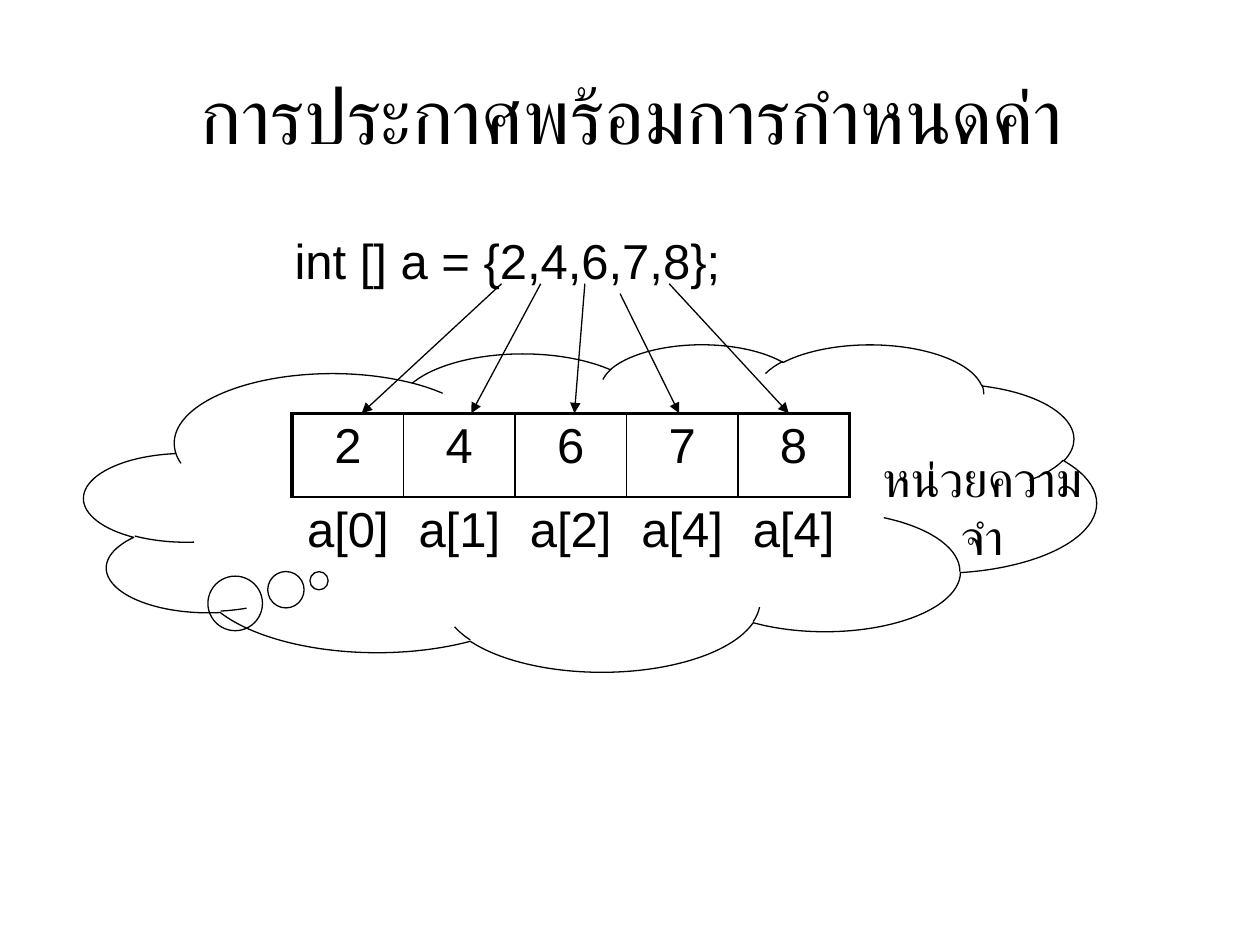
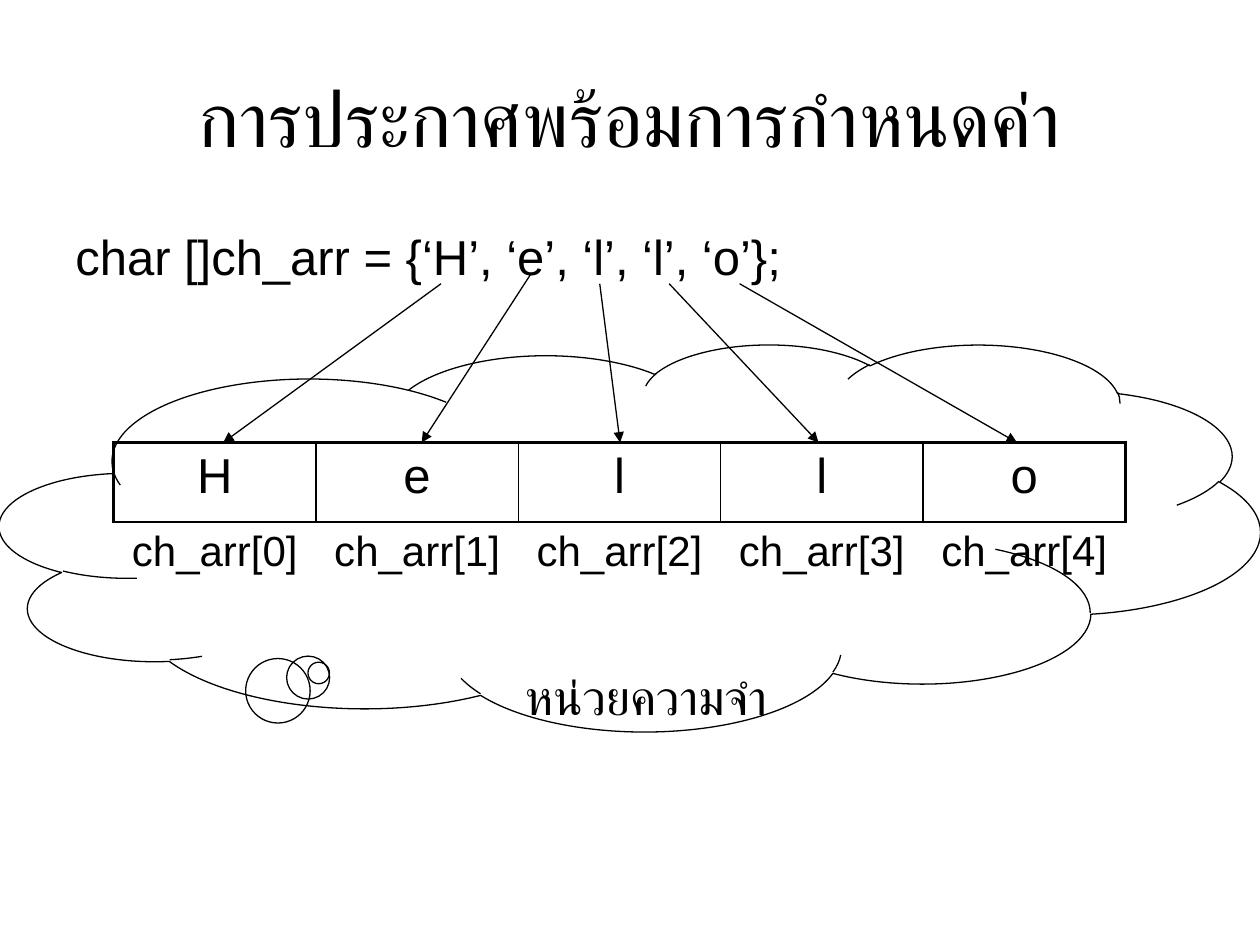
"""Build two slides that show how array initialisers fill memory cells."""
from lxml import etree
from pptx import Presentation
from pptx import util as u
from pptx.dml.color import RGBColor
from pptx.enum import shapes, text
from pptx.oxml import ns

BLACK = RGBColor(0, 0, 0)
FONT = "Arial"
TITLE = "การประกาศพร้อมการกำหนดค่า"
MEMORY_LABEL = "หน่วยความจำ"
THIN, THICK = u.Pt(1), u.Pt(2.25)
OUTLINE = u.Pt(0.75)
PLAIN_TABLE_STYLE = "{2D5ABB26-0587-4C30-8999-92F81FD0307C}"

ARRAYS = [
    {
        "title": (1.3, 0.71, 22.86, 3.18),
        "code": "int [] a = {2,4,6,7,8};",
        "code_box": (5.69, 4.52, 11.23, 1.88),
        "values": ["2", "4", "6", "7", "8"],
        "names": ["a[0]", "a[1]", "a[2]", "a[4]", "a[4]"],
        "name_size": 28,
        "table": (5.89, 8.33, 11.23, 3.38),
        "row_heights": (1.69, 1.69),
        "arrow_starts": [(10.11, 5.72), (10.9, 5.72), (11.79, 5.72), (12.5, 5.92), (13.49, 5.72)],
        "arrow_ends": [7.29, 9.5, 11.58, 13.69, 15.9],
        "cloud": (1.7, 6.93, 20.4, 6.6),
        "cloud_tail": (-0.268, 0.224),
        "label": (17.3, 9.32, 5, 1.8),
    },
    {
        "title": (1.27, 0.76, 22.86, 3.18),
        "code": "char []ch_arr = {‘H’, ‘e’, ‘l’, ‘l’, ‘o’};",
        "code_box": (1.27, 4.45, 21.84, 2.49),
        "values": list("Hello"),
        "names": [f"ch_arr[{index}]" for index in range(5)],
        "name_size": 24,
        "table": (2.29, 8.92, 20.4, 3.4),
        "row_heights": (1.6, 1.8),
        "arrow_starts": [(8.89, 5.72), (10.69, 5.54), (12.09, 5.72), (13.49, 5.72), (14.91, 5.72)],
        "arrow_ends": [4.5 + 4 * index for index in range(5)],
        "cloud": (0, 6.93, 25.4, 7.8),
        "cloud_tail": (-0.247, 0.351),
        "label": (9.91, 13.13, 6.22, 1.8),
    },
]


def write_text(frame, content, size=28, align=text.PP_ALIGN.CENTER, space_before=0):
    paragraph = frame.paragraphs[0]
    paragraph.alignment = align
    paragraph.space_before = u.Pt(space_before)
    run = paragraph.add_run()
    run.text = content
    run.font.name = FONT
    run.font.size = u.Pt(size)
    run.font.color.rgb = BLACK


def lengths(box):
    return [u.Cm(value) for value in box]


presentation = Presentation()
presentation.slide_width = u.Cm(25.4)
presentation.slide_height = u.Cm(19.05)

for array in ARRAYS:
    slide = presentation.slides.add_slide(presentation.slide_layouts[5])

    title = slide.shapes.title
    title.left, title.top, title.width, title.height = lengths(array["title"])
    title.text_frame.vertical_anchor = text.MSO_ANCHOR.MIDDLE
    title.text_frame.auto_size = text.MSO_AUTO_SIZE.NONE
    write_text(title.text_frame, TITLE, size=44)

    code = slide.shapes.add_textbox(*lengths(array["code_box"]))
    code.text_frame.word_wrap = True
    write_text(code.text_frame, array["code"], align=text.PP_ALIGN.LEFT, space_before=5.6)

    columns = len(array["values"])
    table_frame = slide.shapes.add_table(2, columns, *lengths(array["table"]))
    table = table_frame.table
    table.first_row = table.horz_banding = False
    table._tbl.tblPr.find(ns.qn("a:tableStyleId")).text = PLAIN_TABLE_STYLE
    for row, height in zip(table.rows, array["row_heights"]):
        row.height = u.Cm(height)
    for column in range(columns):
        value_cell, name_cell = table.cell(0, column), table.cell(1, column)
        write_text(value_cell.text_frame, array["values"][column], space_before=5.6)
        write_text(name_cell.text_frame, array["names"][column],
                   size=array["name_size"], space_before=5.6)
        value_borders = {
            "lnL": THICK if column == 0 else THIN,
            "lnR": THICK if column == columns - 1 else THIN,
            "lnT": THICK,
            "lnB": THIN,
        }
        for cell, borders in ((value_cell, value_borders), (name_cell, {"lnT": THIN})):
            properties = cell._tc.get_or_add_tcPr()
            for side, width in borders.items():
                line = etree.SubElement(properties, ns.qn(f"a:{side}"), w=str(width))
                fill = etree.SubElement(line, ns.qn("a:solidFill"))
                etree.SubElement(fill, ns.qn("a:srgbClr"), val=str(BLACK))
            cell.fill.background()

    for (start_x, start_y), end_x in zip(array["arrow_starts"], array["arrow_ends"]):
        arrow = slide.shapes.add_connector(
            shapes.MSO_CONNECTOR.STRAIGHT,
            u.Cm(start_x), u.Cm(start_y), u.Cm(end_x), table_frame.top)
        arrow.line.color.rgb = BLACK
        arrow.line.width = OUTLINE
        etree.SubElement(arrow.line._get_or_add_ln(), ns.qn("a:tailEnd"), type="triangle")
        etree.SubElement(arrow._element.spPr, ns.qn("a:effectLst"))

    cloud = slide.shapes.add_shape(shapes.MSO_SHAPE.CLOUD_CALLOUT, *lengths(array["cloud"]))
    cloud.adjustments[0], cloud.adjustments[1] = array["cloud_tail"]
    cloud.shadow.inherit = False
    cloud.fill.background()
    cloud.line.color.rgb = BLACK
    cloud.line.width = OUTLINE

    label = slide.shapes.add_textbox(*lengths(array["label"]))
    label.text_frame.word_wrap = False
    label.text_frame.vertical_anchor = text.MSO_ANCHOR.MIDDLE
    write_text(label.text_frame, MEMORY_LABEL)

presentation.save("out.pptx")
